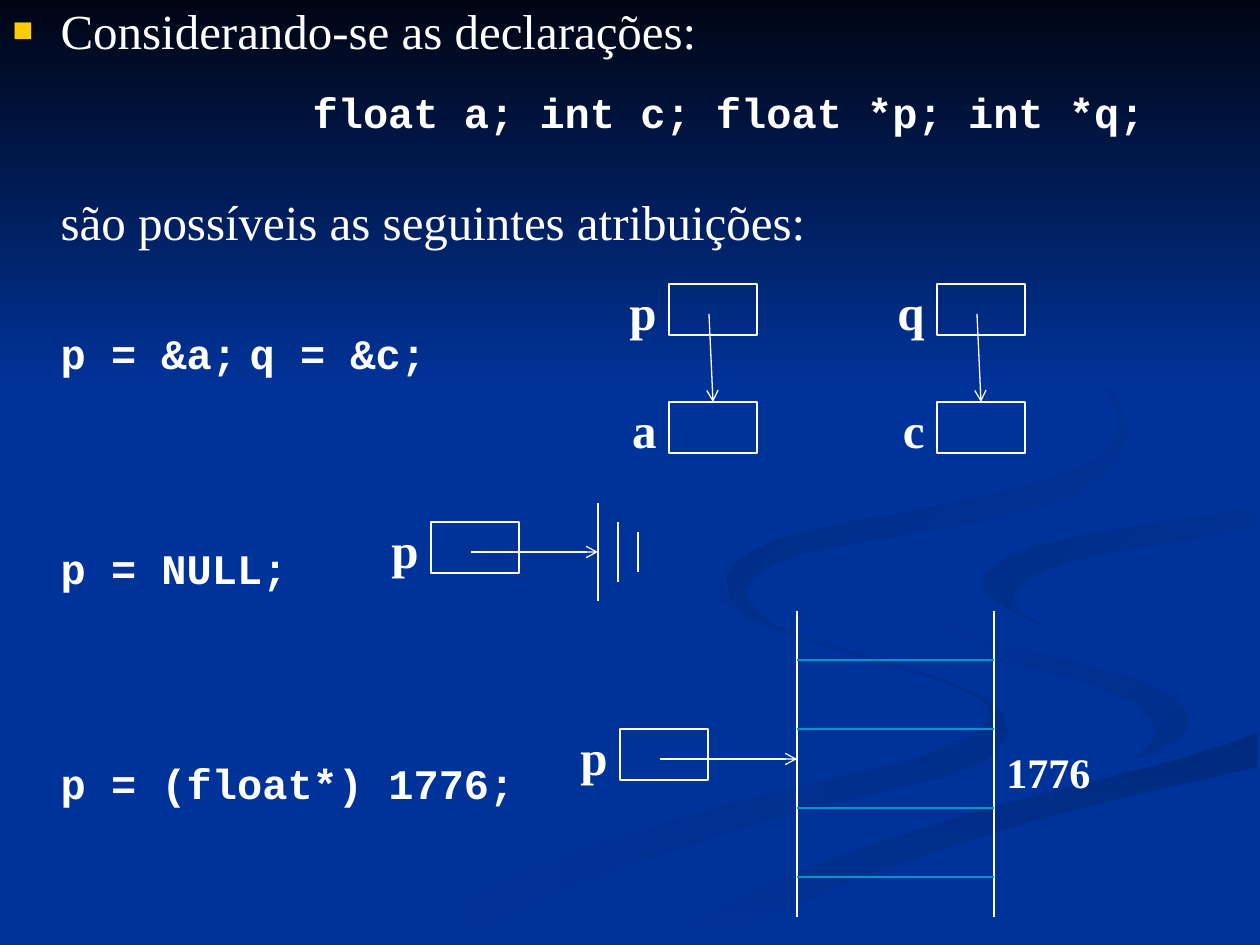
from lxml import etree
from pptx import Presentation
from pptx.dml.color import RGBColor
from pptx.enum.shapes import MSO_CONNECTOR, MSO_SHAPE
from pptx.enum.text import MSO_ANCHOR, MSO_AUTO_SIZE, PP_ALIGN
from pptx.oxml.ns import qn
from pptx.util import Pt

EMU_PER_PX = 914400 / 126
STRAIGHT = MSO_CONNECTOR.STRAIGHT
RECTANGLE = MSO_SHAPE.RECTANGLE
TOP = MSO_ANCHOR.TOP
NO_AUTOFIT = MSO_AUTO_SIZE.NONE
LEFT, RIGHT = PP_ALIGN.LEFT, PP_ALIGN.RIGHT

WHITE = RGBColor(0xFF, 0xFF, 0xFF)
BLUE = RGBColor(0x00, 0x33, 0x99)
NIGHT = RGBColor(0x00, 0x05, 0x14)
CYAN = RGBColor(0x00, 0x98, 0xCC)
SHADE_LOW = RGBColor(0x00, 0x2E, 0x8B)
SHADE_FLOOR = RGBColor(0x00, 0x2A, 0x7D)
SHADE_EDGE = RGBColor(0x00, 0x2D, 0x86)
SHADE_HIGH = RGBColor(0x00, 0x2B, 0x82)

SERIF, MONO = "Times New Roman", "Courier New"
SLIDE_W, SLIDE_H = 1260, 945
BOX_W, BOX_H = 88, 51
MARGIN = 48

LOW_RIBBON = [
    (984, 697), (954, 684), (921, 672), (859, 654), (809, 639), (774, 625), (748, 611), (735, 601),
    (726, 591), (723, 585), (724, 578), (718, 590), (721, 600), (732, 609), (747, 619), (770, 629),
    (824, 646), (878, 662), (917, 674), (948, 684), (978, 697), (987, 704), (990, 713), (987, 723),
    (975, 735), (956, 743), (916, 759), (862, 772), (776, 793), (679, 818), (577, 849), (474, 891),
    (378, 944), (455, 944), (543, 900), (629, 866), (711, 838), (785, 815), (852, 799), (908, 785),
    (953, 774), (983, 762), (997, 752), (1004, 741), (1008, 732), (1002, 714), (990, 701)]
RIGHT_RIBBON = [
    (1188, 718), (1183, 708), (1172, 697), (1140, 680), (1096, 668), (1046, 654), (998, 641),
    (955, 627), (924, 609), (916, 597), (912, 585), (914, 597), (920, 609), (931, 622), (951, 636),
    (984, 653), (1027, 668), (1076, 679), (1109, 692), (1134, 702), (1148, 714), (1157, 732),
    (1152, 742), (1143, 752), (1126, 762), (1154, 752), (1174, 742), (1186, 732)]
FLOOR_RIBBON = [
    (654, 941), (634, 944), (719, 944), (740, 932), (774, 915), (818, 895), (876, 872), (948, 847),
    (1034, 820), (1138, 794), (1257, 767), (1257, 732), (1230, 743), (1179, 759), (1092, 781),
    (1004, 804), (963, 815), (877, 843), (794, 873), (717, 906), (684, 924)]
PLAIN_RIBBON = [
    (912, 585), (916, 597), (924, 609), (956, 627), (999, 641), (1047, 654), (1097, 668), (1140, 680),
    (1173, 697), (1184, 708), (1188, 718), (1187, 730), (1179, 740), (1167, 747), (1148, 756),
    (1124, 762), (1095, 770), (1024, 788), (936, 810), (835, 842), (722, 886), (601, 944), (634, 944),
    (654, 941), (718, 906), (794, 873), (877, 843), (964, 815), (1004, 804), (1094, 781), (1179, 759),
    (1230, 743), (1259, 732), (1259, 678), (1208, 669), (1163, 659), (1091, 641), (1048, 627),
    (1013, 611), (990, 596), (984, 583), (990, 571), (1008, 557), (1036, 547), (1071, 538),
    (1133, 527), (1220, 515), (1259, 507), (1259, 488), (1212, 498), (1159, 504), (1072, 518),
    (1018, 525), (970, 538), (935, 554), (920, 566), (914, 578)]
EDGE_RIBBON = [
    (984, 580), (985, 591), (997, 602), (1016, 614), (1041, 625), (1023, 614), (1016, 605),
    (1014, 595), (1019, 587), (1028, 578), (1062, 564), (1106, 553), (1179, 541), (1223, 533),
    (1257, 529), (1257, 507), (1218, 515), (1131, 527), (1070, 538), (1034, 546), (1007, 557),
    (989, 571)]
HIGH_RIBBON = [
    (861, 542), (931, 530), (990, 519), (1040, 507), (1077, 493), (1104, 476), (1120, 456),
    (1126, 433), (1121, 408), (1109, 387), (1089, 367), (1062, 347), (1021, 323), (994, 309),
    (974, 300), (960, 294), (987, 306), (1041, 335), (1077, 359), (1104, 386), (1115, 403),
    (1120, 422), (1116, 438), (1104, 454), (1085, 466), (1061, 476), (1031, 486), (997, 494),
    (924, 509), (852, 522), (803, 532), (775, 541), (752, 551), (736, 562), (728, 575), (727, 582),
    (731, 597), (743, 610), (761, 620), (784, 630), (772, 624), (757, 611), (748, 599), (748, 586),
    (757, 575), (774, 564), (800, 554), (838, 546)]
SKY = [(0, 0), (0, 388), (SLIDE_W, 388), (SLIDE_W, 0)]

BACKDROP = [
    (LOW_RIBBON, BLUE, SHADE_LOW, 0),
    (RIGHT_RIBBON, BLUE, SHADE_LOW, 45),
    (FLOOR_RIBBON, SHADE_FLOOR, BLUE, 90),
    (PLAIN_RIBBON, BLUE, BLUE, 0),
    (EDGE_RIBBON, SHADE_EDGE, BLUE, 45),
    (HIGH_RIBBON, SHADE_HIGH, BLUE, 45),
    (SKY, NIGHT, BLUE, 90),
]
STATEMENTS = [
    ("Considerando-se as declarações:", SERIF, 28, 7, MARGIN),
    ("float a; int c; float *p; int *q;", MONO, 24, 16, MARGIN + 252),
    ("são possíveis as seguintes atribuições:", SERIF, 28, 31, MARGIN),
    ("p = &a;\tq = &c;", MONO, 24, 44, MARGIN),
    ("p = NULL;", MONO, 24, 94, MARGIN),
    ("p = (float*) 1776;", MONO, 24, 94, MARGIN),
]


def px(length):
    """Turn pixels into EMU."""
    return round(length * EMU_PER_PX)


def add_ribbon(shapes, points, start, end, angle):
    """Draw a closed outline with a gradient turned clockwise by angle."""
    builder = shapes.build_freeform(*points[0], scale=EMU_PER_PX)
    builder.add_line_segments(points[1:], close=True)
    ribbon = builder.convert_to_shape()
    ribbon.shadow.inherit = False
    ribbon.line.fill.background()
    ribbon.fill.gradient()
    ribbon.fill.gradient_angle = (360 - angle) % 360
    for stop, color in zip(ribbon.fill.gradient_stops, (start, end)):
        stop.color.rgb = color


def style_run(paragraph, font_name, size, bold):
    """Format the only run of a paragraph in white."""
    font = paragraph.runs[0].font
    font.name, font.size, font.bold = font_name, Pt(size), bold
    font.color.rgb = WHITE


def add_mark(properties, tag, **attributes):
    """Append a bullet or tab element to paragraph properties."""
    return etree.SubElement(properties, qn(tag), attributes)


def fill_statements(body):
    """Place the body placeholder and write the declarations and assignments."""
    body.left, body.top, body.width, body.height = 0, 0, px(SLIDE_W), px(SLIDE_H)
    frame = body.text_frame
    frame.auto_size, frame.vertical_anchor, frame.margin_top = NO_AUTOFIT, TOP, 0
    frame.text = "\n".join(statement[0] for statement in STATEMENTS)
    for index, (paragraph, statement) in enumerate(zip(frame.paragraphs, STATEMENTS)):
        text, font_name, size, gap, indent = statement
        style_run(paragraph, font_name, size, font_name == MONO)
        paragraph.alignment = LEFT
        properties = paragraph._p.get_or_add_pPr()
        properties.set("marL", str(px(indent)))
        properties.set("indent", str(0 if index else -px(MARGIN)))
        if index:
            add_mark(properties, "a:buNone")
        else:
            add_mark(add_mark(properties, "a:buClr"), "a:srgbClr", val="FFCC00")
            add_mark(properties, "a:buSzPct", val="70000")
            add_mark(properties, "a:buChar", char="■")
        if "\t" in text:
            add_mark(add_mark(properties, "a:tabLst"), "a:tab", pos=str(px(252)), algn="l")
        paragraph.space_before = Pt(gap)


def add_label(shapes, text, left, top, width, height, size, alignment):
    """Write a bold serif label."""
    frame = shapes.add_textbox(px(left), px(top), px(width), px(height)).text_frame
    frame.word_wrap = True
    frame.text = text
    frame.paragraphs[0].alignment = alignment
    style_run(frame.paragraphs[0], SERIF, size, True)


def add_variable(shapes, name, left, top):
    """Draw a variable's box with its name on the left."""
    box = shapes.add_shape(RECTANGLE, px(left), px(top), px(BOX_W), px(BOX_H))
    box.shadow.inherit = False
    box.fill.background()
    box.line.color.rgb, box.line.width = WHITE, Pt(0.75)
    add_label(shapes, name, left - 69, top - 9, 69, 72, 28, RIGHT)


def add_line(shapes, start, end, color=WHITE, width=1.0):
    """Draw a straight line and return its connector."""
    line = shapes.add_connector(STRAIGHT, *map(px, start + end))
    line.line.color.rgb, line.line.width = color, Pt(width)
    etree.SubElement(line.element.spPr, qn("a:effectLst"))
    return line


def add_pointer(shapes, name, left, top, target):
    """Draw a pointer variable with an arrow from its box to the target."""
    add_variable(shapes, name, left, top)
    arrow = add_line(shapes, (left + 40, top + 30), target, width=0.75)
    etree.SubElement(arrow.line._get_or_add_ln(), qn("a:tailEnd"), type="arrow")


def add_memory(shapes, left, right, top, bottom):
    """Draw the memory column with its cell borders and address."""
    for side in (left, right):
        add_line(shapes, (side, top), (side, bottom))
    for border in (660, 729, 808, 877):
        add_line(shapes, (left, border), (right, border), CYAN, 0.75)
    add_label(shapes, "1776", right, 740, 227, 63, 24, LEFT)


def main():
    """Build the pointer assignment slide."""
    deck = Presentation()
    deck.slide_width, deck.slide_height = px(SLIDE_W), px(SLIDE_H)
    slide = deck.slides.add_slide(deck.slide_layouts[1])
    shapes = slide.shapes
    slide.background.fill.solid()
    slide.background.fill.fore_color.rgb = BLUE
    tree = shapes.title.element.getparent()
    tree.remove(shapes.title.element)
    for ribbon in BACKDROP:
        add_ribbon(shapes, *ribbon)
    body = slide.placeholders[1]
    tree.append(body.element)
    fill_statements(body)
    for pointer, target, left in (("p", "a", 669), ("q", "c", 937)):
        add_pointer(shapes, pointer, left, 284, (left + 44, 402))
        add_variable(shapes, target, left, 402)
    add_pointer(shapes, "p", 431, 522, (598, 552))
    for x, half in ((598, 49), (618, 30), (638, 20)):
        add_line(shapes, (x, 552 - half), (x, 552 + half))
    add_pointer(shapes, "p", 620, 729, (797, 759))
    add_memory(shapes, 797, 994, 611, 917)
    deck.save("out.pptx")


if __name__ == "__main__":
    main()
